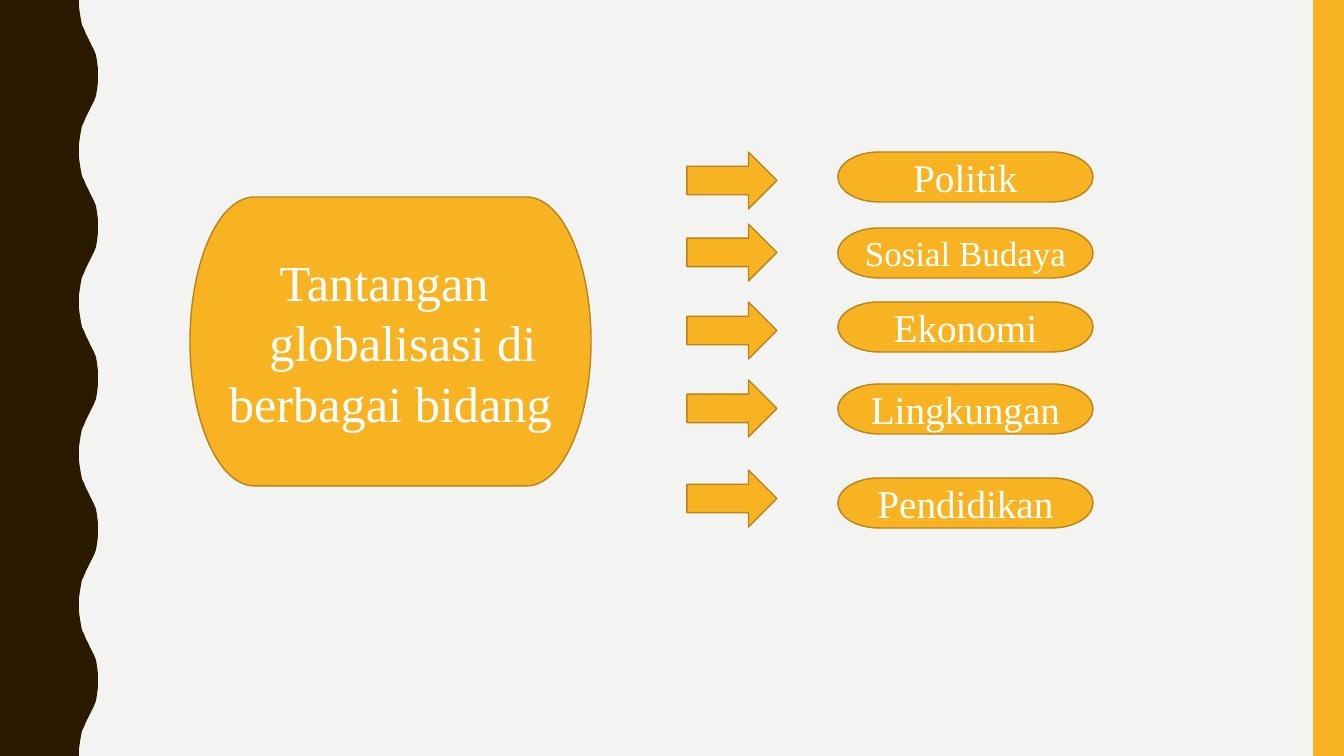
"""Build the slide on the challenges of globalisation in five fields."""
from pptx import Presentation, util as u
from pptx.dml.color import RGBColor
from pptx.enum import shapes, text

SCALE = 914400 / 100.8
WIDTH, HEIGHT = 1344, 756
AMBER, BROWN, EDGE = "F8B323", "2A1A00", "B7841A"


def paint(shape, fill, edge=None):
    shape.shadow.inherit = False
    shape.fill.solid()
    shape.fill.fore_color.rgb = RGBColor.from_string(fill)
    if edge:
        shape.line.color.rgb = RGBColor.from_string(edge)
        shape.line.width = u.Pt(1)
    else:
        shape.line.fill.background()


def add_part(kind, box, edge=None, lines=(), size=28):
    part = slide.shapes.add_shape(kind, *(round(side * SCALE) for side in box))
    paint(part, AMBER, edge)
    frame = part.text_frame
    frame.word_wrap = True
    frame.vertical_anchor = text.MSO_ANCHOR.MIDDLE
    for number, line in enumerate(lines):
        paragraph = frame.add_paragraph() if number else frame.paragraphs[0]
        paragraph.text = line
        paragraph.alignment = text.PP_ALIGN.CENTER
        paragraph.font.name = "Times New Roman"
        paragraph.font.size = u.Pt(size)
        paragraph.font.color.rgb = RGBColor.from_string("FFFFFF")
    return part


deck = Presentation()
deck.slide_width, deck.slide_height = round(WIDTH * SCALE), round(HEIGHT * SCALE)
slide = deck.slides.add_slide(deck.slide_layouts[6])
slide.background.fill.solid()
slide.background.fill.fore_color.rgb = RGBColor.from_string("F3F3F2")

wave_count = 5
period = HEIGHT / wave_count
swell = [(79, 0), (79, 7), (80, 14), (81, 20), (82, 25), (84, 29), (86, 34), (88, 38),
         (90, 42), (92, 46), (94, 50), (96, 55), (97, 61), (98, 69), (98, 76)]
wave = swell + [(x, period - y) for x, y in reversed(swell[:-1])]
border = slide.shapes.build_freeform(0, 0, scale=SCALE)
border.add_line_segments(
    [(x, y + turn * period) for turn in range(wave_count) for x, y in wave] + [(0, HEIGHT)])
paint(border.convert_to_shape(), BROWN)
add_part(shapes.MSO_SHAPE.RECTANGLE, (1313, 0, 31, HEIGHT))

fields = [("Politik", 28, 152, 152), ("Sosial Budaya", 25, 224, 228),
          ("Ekonomi", 28, 302, 302), ("Lingkungan", 28, 380, 384),
          ("Pendidikan", 28, 470, 478)]
for field, size, arrow_top, field_top in fields:
    add_part(shapes.MSO_SHAPE.RIGHT_ARROW, (687, arrow_top, 90, 57), EDGE)
    add_part(shapes.MSO_SHAPE.FLOWCHART_TERMINATOR, (838, field_top, 255, 50), EDGE, [field], size)

topic = add_part(shapes.MSO_SHAPE.FLOWCHART_TERMINATOR, (190, 197, 401, 289), EDGE,
                 ["Tantangan ", "globalisasi di berbagai bidang"], 36)
first_line = topic.text_frame.paragraphs[1]._p.get_or_add_pPr()
first_line.set("indent", str(round(25 * SCALE)))

deck.save("out.pptx")
